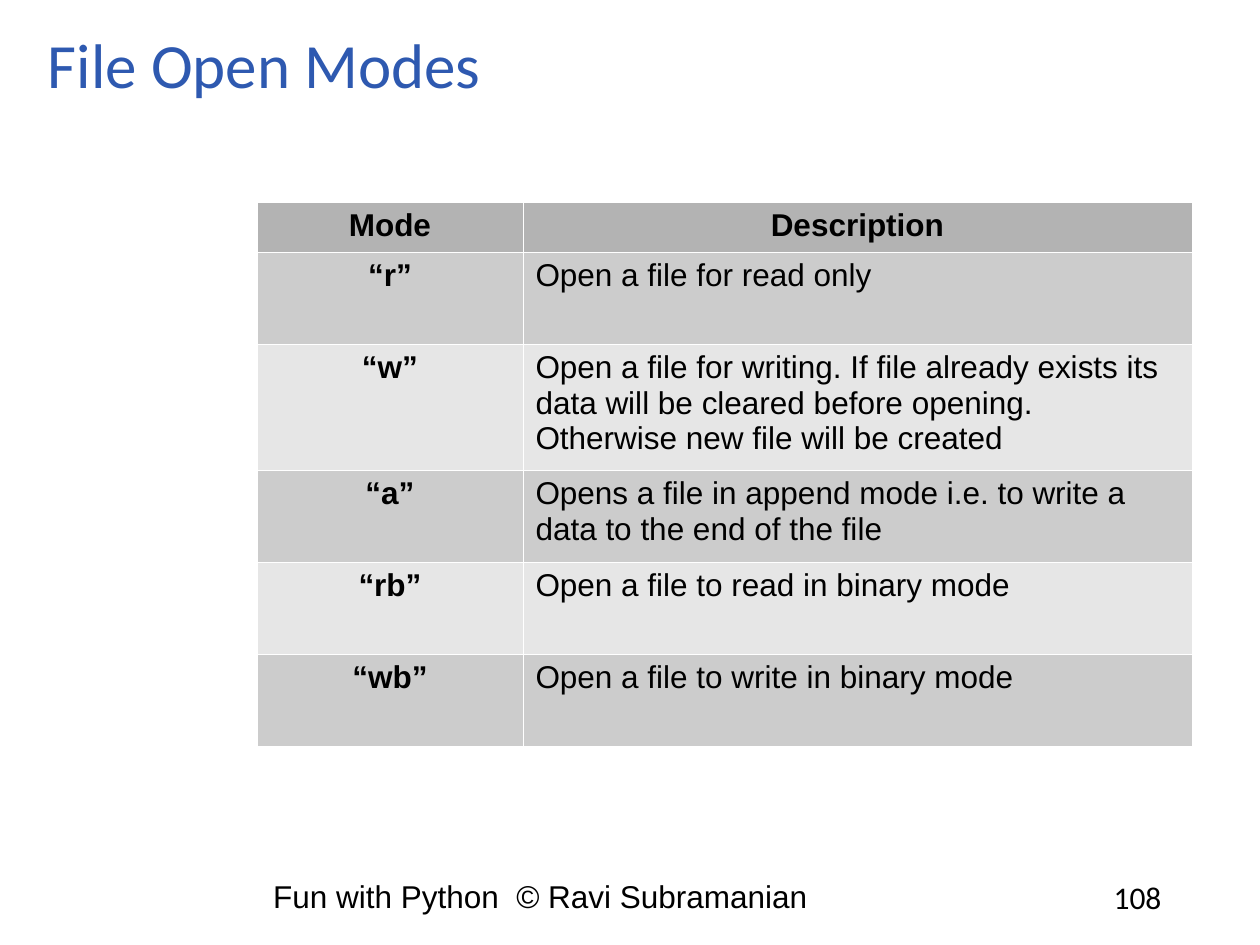
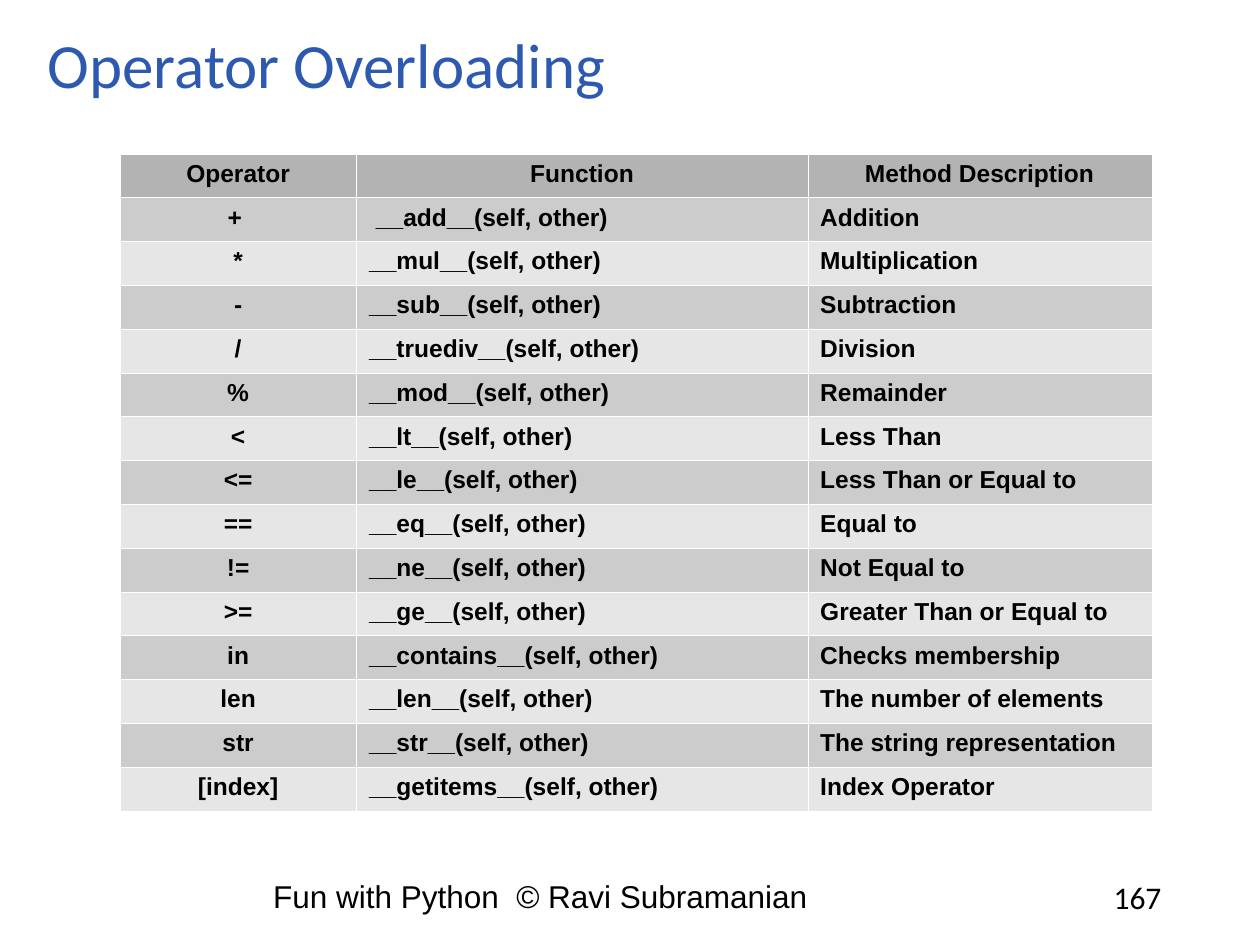
import pptx
import pptx.dml.color
import pptx.enum.text
import pptx.oxml
import pptx.oxml.ns
import pptx.util

Inches = pptx.util.Inches
Pt = pptx.util.Pt
CENTER = pptx.enum.text.PP_ALIGN.CENTER
LEFT = pptx.enum.text.PP_ALIGN.LEFT

COLORS = {"title": "2E59B0", "text": "000000", "line": "FFFFFF",
          "head": "B3B3B3", "dark": "CCCCCC", "light": "E6E6E6"}
FOOTER = "Fun with Python  © Ravi Subramanian"

MODES = [
    ("Mode", "Description"),
    ("“r”", "Open a file for read only"),
    ("“w”", "Open a file for writing. If file already exists its data will be "
            "cleared before opening. Otherwise new file will be created"),
    ("“a”", "Opens a file in append mode i.e. to write a data to the end of the file"),
    ("“rb”", "Open a file to read in binary mode"),
    ("“wb”", "Open a file to write in binary mode"),
]
METHODS = [
    ("Operator", "Function", "Method Description"),
    ("+ ", " __add__(self, other)", "Addition"),
    ("*", "__mul__(self, other)", "Multiplication"),
    ("-", "__sub__(self, other)", "Subtraction"),
    ("/", "__truediv__(self, other)", "Division"),
    ("%", "__mod__(self, other)", "Remainder"),
    ("<", "__lt__(self, other)", "Less Than"),
    ("<=", "__le__(self, other)", "Less Than or Equal to"),
    ("==", "__eq__(self, other)", "Equal to"),
    ("!=", "__ne__(self, other)", "Not Equal to"),
    (">=", "__ge__(self, other)", "Greater Than or Equal to"),
    ("in", "__contains__(self, other)", "Checks membership"),
    ("len", "__len__(self, other)", "The number of elements"),
    ("str", "__str__(self, other)", "The string representation"),
    ("[index]", "__getitems__(self, other)", "Index Operator"),
]
SLIDES = [
    {"title": "File Open Modes", "page": "108", "rows": MODES,
     "at": (2.04, 1.6), "widths": [2.11, 5.31],
     "heights": [0.37, 0.73, 0.94, 0.73, 0.73, 0.73], "size": 18, "bold": False},
    {"title": "Operator Overloading", "page": "167", "rows": METHODS,
     "at": (0.95, 1.22), "widths": [1.88, 3.58, 2.73],
     "heights": [5.22 / len(METHODS)] * len(METHODS), "size": 14, "bold": True},
]


def color(name):
    """Look up a named colour."""
    return pptx.dml.color.RGBColor.from_string(COLORS[name])


def style(para, size, face="Arial", hue="text", bold=False):
    """Set the font of a paragraph."""
    font = para.font
    font.size, font.name, font.bold = Pt(size), face, bold
    font.color.rgb = color(hue)


def add_text(slide, text, box, size, face, hue="text"):
    """Add a one-line text box and return its frame."""
    frame = slide.shapes.add_textbox(*map(Inches, box)).text_frame
    frame.word_wrap = True
    frame.text = text
    style(frame.paragraphs[0], size, face, hue)
    return frame


def add_frame(slide, title, page):
    """Add the title, footer and page number that every slide has."""
    add_text(slide, page, (8.74, 6.92, 1.23, 0.39), 18, "Calibri")
    add_text(slide, FOOTER, (2.07, 6.91, 5.64, 0.4), 18, "Arial")
    head = add_text(slide, title, (0.38, 0, 9.16, 1.45), 36, "Calibri", "title")
    head.margin_left = head.margin_right = head.margin_bottom = 0
    head.margin_top = Inches(0.27)
    head.paragraphs[0].line_spacing = 0.9


def add_lines(cell):
    """Draw hairlines on all four sides of a cell."""
    props = cell._tc.get_or_add_tcPr()
    for side in "LRTB":
        props.append(pptx.oxml.parse_xml(
            f'<a:ln{side} {pptx.oxml.ns.nsdecls("a")} w="762"><a:solidFill>'
            f'<a:srgbClr val="{COLORS["line"]}"/></a:solidFill></a:ln{side}>'))


def add_grid(slide, rows, at, widths, heights, size, bold):
    """Add a table with a header row and bands of two greys."""
    box = map(Inches, (*at, sum(widths), sum(heights)))
    table = slide.shapes.add_table(len(rows), len(widths), *box).table
    table.first_row = table.horz_banding = False
    for col, width in zip(table.columns, widths):
        col.width = Inches(width)
    for r, (row, height) in enumerate(zip(rows, heights)):
        table.rows[r].height = Inches(height)
        band = "head" if r == 0 else "dark" if r % 2 else "light"
        for c, text in enumerate(row):
            cell = table.cell(r, c)
            cell.text = text
            add_lines(cell)
            cell.fill.solid()
            cell.fill.fore_color.rgb = color(band)
            label = r == 0 or c == 0
            para = cell.text_frame.paragraphs[0]
            para.alignment = CENTER if label else LEFT
            style(para, size, bold=label or bold)


deck = pptx.Presentation()
deck.slide_width, deck.slide_height = Inches(10), Inches(7.5)
for item in SLIDES:
    slide = deck.slides.add_slide(deck.slide_layouts[6])
    add_frame(slide, item["title"], item["page"])
    add_grid(slide, item["rows"], item["at"], item["widths"],
             item["heights"], item["size"], item["bold"])
deck.save("out.pptx")
